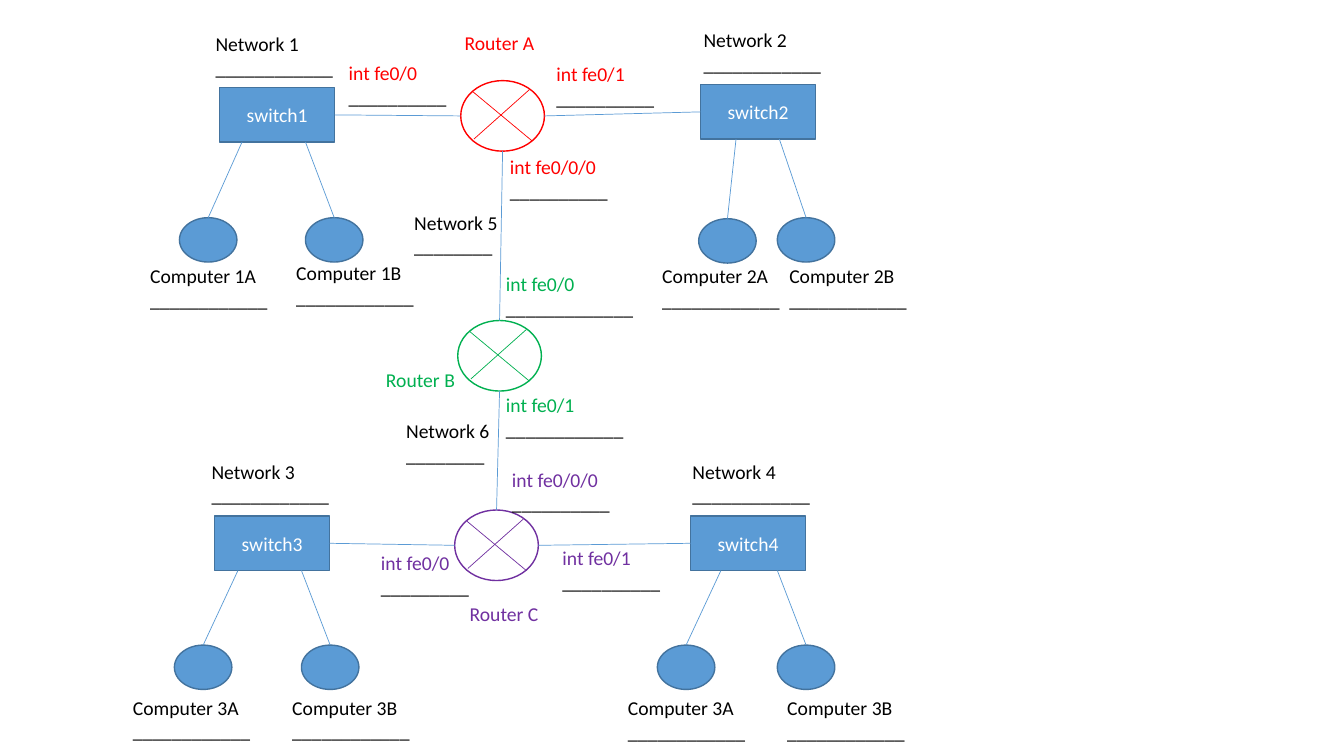
from pptx import Presentation
from pptx.dml.color import RGBColor
from pptx.enum.shapes import MSO_CONNECTOR, MSO_SHAPE
from pptx.enum.text import MSO_ANCHOR, MSO_AUTO_SIZE, PP_ALIGN
from pptx.oxml.ns import qn
from pptx.util import Inches, Pt

BLUE, EDGE, WHITE, BLACK = "5B9BD5", "43739E", "FFFFFF", "000000"
RED, GREEN, PURPLE = "FF0000", "00B050", "7030A0"


def rgb(value):
    return RGBColor.from_string(value)


class Diagram:
    ROWS = 75
    FONT, SIZE = "Calibri", 14
    SWITCH, COMPUTER, ROUTER = (11.4, 5.4), (5.7, 4.4), (8.3, 7)

    def __init__(self, prs):
        self.slide = prs.slides.add_slide(prs.slide_layouts[6])
        self.cell = prs.slide_height / self.ROWS

    def grid(self, *cells):
        return [round(c * self.cell) for c in cells]

    def fill_text(self, p, text, color):
        p.text = text
        font = p.runs[0].font
        font.name, font.size = self.FONT, Pt(self.SIZE)
        font.color.rgb = rgb(color)

    def shape(self, kind, x, y, size, fill, edge):
        sp = self.slide.shapes.add_shape(kind, *self.grid(x, y, *size))
        sp.shadow.inherit = False
        sp.fill.solid()
        sp.fill.fore_color.rgb = rgb(fill)
        sp.line.color.rgb = rgb(edge)
        sp.line.width = Pt(1)
        return sp

    def line(self, x1, y1, x2, y2, color=BLUE):
        cxn = self.slide.shapes.add_connector(
            MSO_CONNECTOR.STRAIGHT, *self.grid(x1, y1, x2, y2))
        cxn.line.color.rgb = rgb(color)
        cxn.line.width = Pt(0.5)
        sp_pr = cxn._element.spPr
        sp_pr.append(sp_pr.makeelement(qn("a:effectLst"), {}))
        return cxn

    def switch(self, name, x, y, computers):
        height = self.SWITCH[1]
        sp = self.shape(MSO_SHAPE.RECTANGLE, x, y, self.SWITCH, BLUE, EDGE)
        tf = sp.text_frame
        tf.vertical_anchor = MSO_ANCHOR.MIDDLE
        self.fill_text(tf.paragraphs[0], name, WHITE)
        tf.paragraphs[0].alignment = PP_ALIGN.CENTER
        for cx, cy, leg in computers:
            self.shape(MSO_SHAPE.OVAL, cx, cy, self.COMPUTER, BLUE, EDGE)
            self.line(cx + self.COMPUTER[0] / 2, cy, x + leg, y + height)
        return sp

    def router(self, x, y, color):
        self.shape(MSO_SHAPE.OVAL, x, y, self.ROUTER, WHITE, color)
        self.line(x + 1.2, y + 1.1, x + 7.1, y + 6, color)
        self.line(x + 6.8, y + 0.9, x + 1.3, y + 5.8, color)

    def uplinks(self, left, right, x, y):
        mid = y + self.ROUTER[1] / 2
        self.line(x, mid, x, mid).begin_connect(left, 3)
        end = x + self.ROUTER[0]
        self.line(end, mid, end, mid).end_connect(right, 1)

    def label(self, text, x, y, width=16, color=BLACK, blanks=12):
        height = 5.7 if blanks else 3.4
        box = self.slide.shapes.add_textbox(*self.grid(x, y, width, height))
        tf = box.text_frame
        tf.word_wrap = True
        tf.auto_size = MSO_AUTO_SIZE.SHAPE_TO_FIT_TEXT
        self.fill_text(tf.paragraphs[0], text, color)
        if blanks:
            self.fill_text(tf.add_paragraph(), "_" * blanks, BLACK)


SWITCHES = [
    ("switch1", 21.8, 8.7, [(17.8, 21.6, 2.2), (30.3, 21.6, 8.5)]),
    ("switch2", 69.5, 8.4, [(69.3, 21.7, 3.5), (77.1, 21.6, 7.8)]),
    ("switch3", 21.3, 51.2, [(17.3, 64, 2.3), (29.9, 64, 8.6)]),
    ("switch4", 68.5, 51.2, [(65.2, 64, 3), (77.1, 64, 8.6)]),
]
ROUTERS = [(45.7, 8, RED), (45.4, 31.8, GREEN), (45.1, 50.6, PURPLE)]
ROUTER_NAMES = [
    ("Router A", 45.1, 2.6, 16, RED),
    ("Router B", 37.3, 36, 9, GREEN),
    ("Router C", 45.6, 59.2, 9.9, PURPLE),
]
INTERFACES = [
    ("int fe0/0", 33.6, 5.6, 16, RED, 10),
    ("int fe0/1", 54.2, 5.7, 16, RED, 10),
    ("int fe0/0/0", 49.6, 14.9, 12, RED, 10),
    ("int fe0/0", 49.2, 26.5, 16, GREEN, 13),
    ("int fe0/1", 49.2, 38.5, 16, GREEN, 12),
    ("int fe0/0/0", 49.8, 45.9, 12, PURPLE, 10),
    ("int fe0/0", 36.8, 54.2, 16, PURPLE, 9),
    ("int fe0/1", 54.8, 53.7, 12, PURPLE, 10),
]
HOSTS = [
    ("Network 1", 20.4, 2.7), ("Network 2", 68.8, 2.3),
    ("Network 3", 20, 45.1), ("Network 4", 67.7, 45.1),
    ("Computer 1A", 13.9, 25.7), ("Computer 1B", 28.4, 25.4),
    ("Computer 2A", 64.7, 25.7), ("Computer 2B", 77.3, 25.7),
    ("Computer 3A", 12.2, 68.5), ("Computer 3B", 28, 68.5),
    ("Computer 3A", 61.3, 68.6), ("Computer 3B", 77.1, 68.6),
]
BACKBONES = [("Network 5", 40.1, 20.4), ("Network 6", 39.3, 41.1)]


def main():
    prs = Presentation()
    prs.slide_width, prs.slide_height = Inches(13.33), Inches(7.5)
    d = Diagram(prs)
    s1, s2, s3, s4 = [d.switch(*row) for row in SWITCHES]
    for row in ROUTERS:
        d.router(*row)
    a, b, c = [(x, y) for x, y, color in ROUTERS]
    d.uplinks(s1, s2, *a)
    d.uplinks(s3, s4, *c)
    half, height = d.ROUTER[0] / 2, d.ROUTER[1]
    for upper, lower in ((a, b), (b, c)):
        d.line(upper[0] + half, upper[1] + height, lower[0] + half, lower[1])
    for row in ROUTER_NAMES:
        d.label(*row, blanks=0)
    for row in INTERFACES + HOSTS:
        d.label(*row)
    for row in BACKBONES:
        d.label(*row, width=11.1, blanks=8)
    prs.save("out.pptx")


if __name__ == "__main__":
    main()
